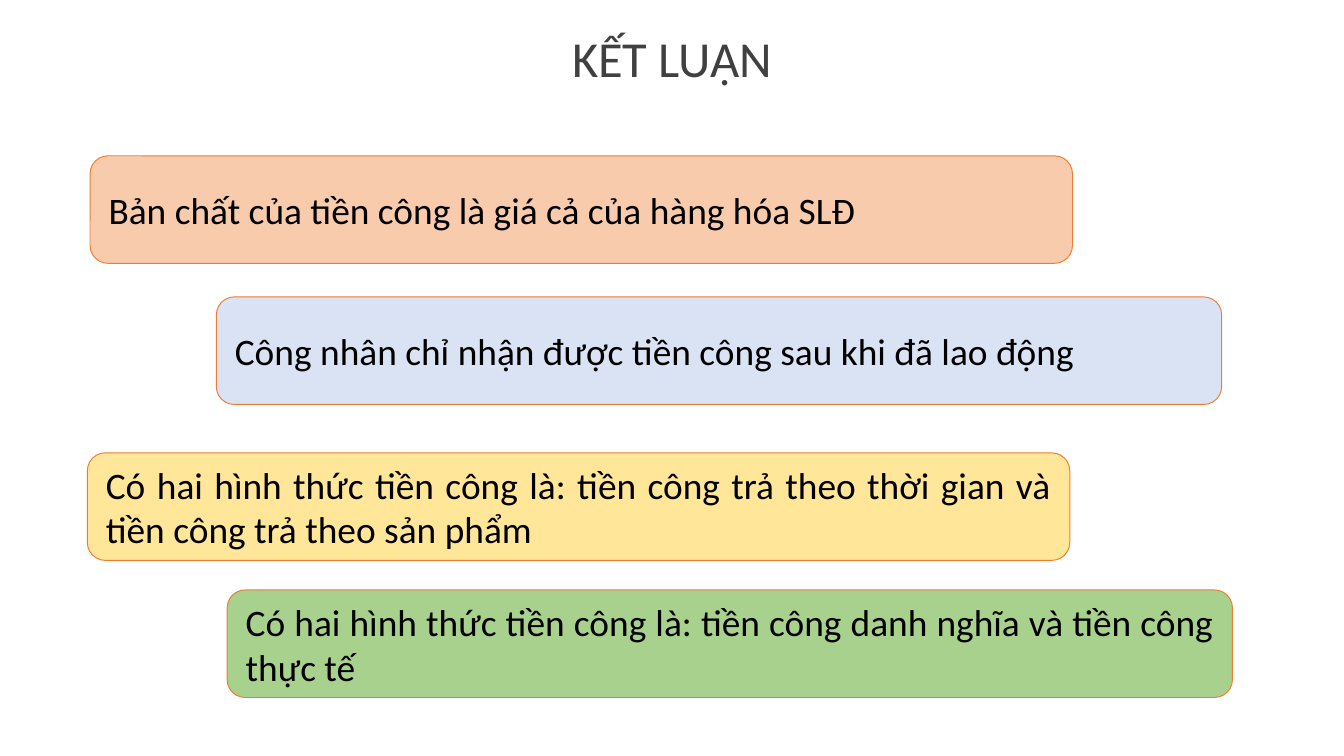
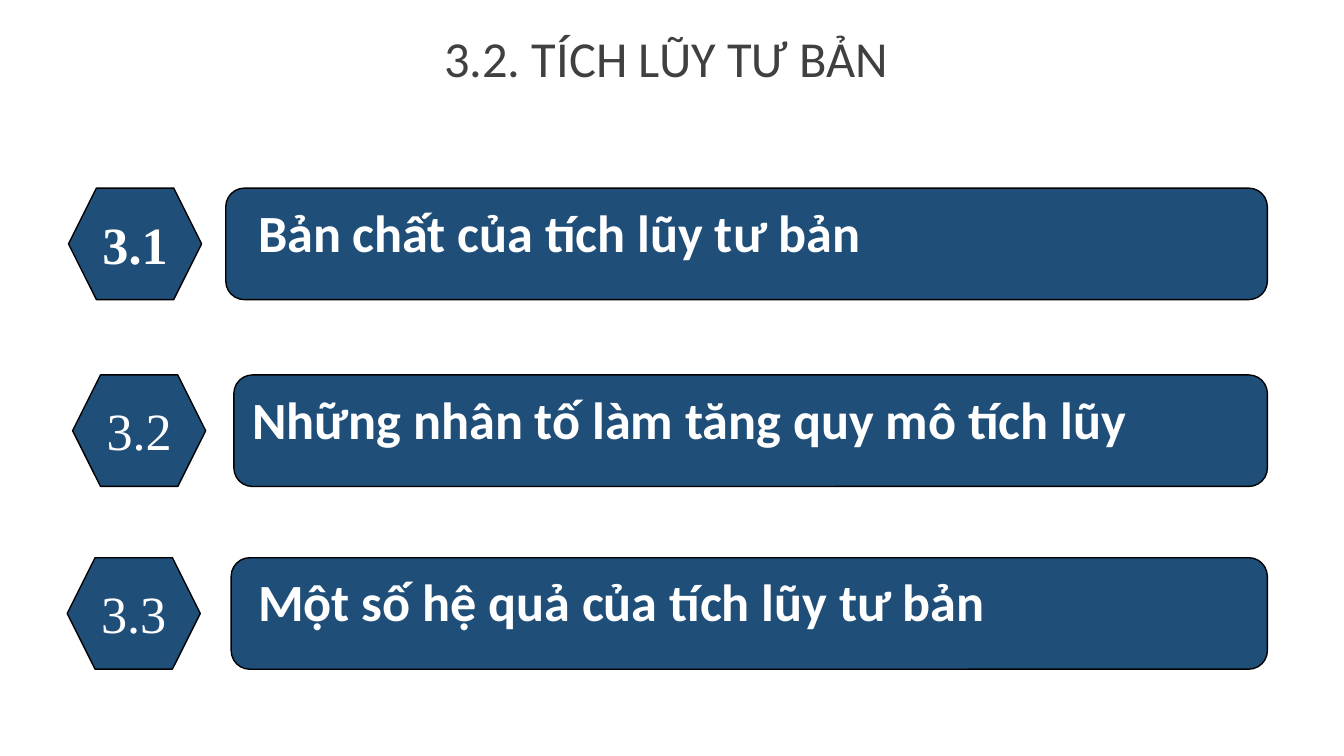
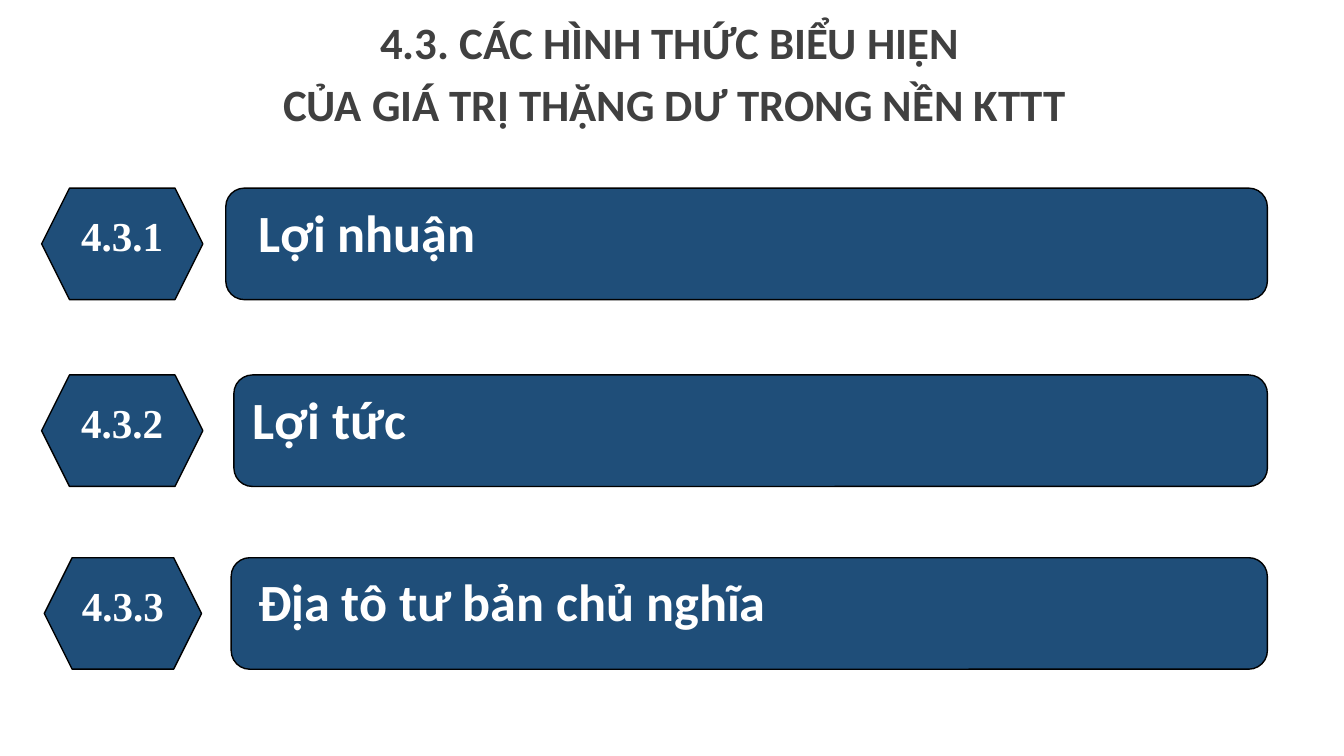
from pptx import Presentation
from pptx.dml.color import RGBColor
from pptx.enum.shapes import MSO_SHAPE
from pptx.enum.text import MSO_ANCHOR, PP_ALIGN
from pptx.util import Inches, Pt

ROUNDED = MSO_SHAPE.FLOWCHART_ALTERNATE_PROCESS
HEXAGON = MSO_SHAPE.HEXAGON
TOP, MIDDLE = MSO_ANCHOR.TOP, MSO_ANCHOR.MIDDLE
LEFT, CENTER, JUSTIFY = PP_ALIGN.LEFT, PP_ALIGN.CENTER, PP_ALIGN.JUSTIFY

BLACK = RGBColor(0x00, 0x00, 0x00)
WHITE = RGBColor(0xFF, 0xFF, 0xFF)
DARK_GRAY = RGBColor(0x40, 0x40, 0x40)
NAVY = RGBColor(0x1F, 0x4E, 0x79)
ORANGE = RGBColor(0xED, 0x7D, 0x31)
PEACH = RGBColor(0xF8, 0xCB, 0xAD)
PALE_BLUE = RGBColor(0xDA, 0xE3, 0xF3)
PALE_YELLOW = RGBColor(0xFF, 0xE6, 0x99)
GREEN = RGBColor(0xA9, 0xD1, 0x8E)

BODY_FONT = "Calibri"
NUMBER_FONT = "Times New Roman"

SLIDE_WIDTH = 10
SLIDE_HEIGHT = SLIDE_WIDTH * 9 / 16
CONCLUSION_HEIGHT = 0.8
AGENDA_HEIGHT = 0.83
AGENDA_RIGHT = 9.43
AGENDA_ROWS = [(1.4, 1.68, 0.2), (2.79, 1.74, 0.1), (4.15, 1.72, 0.16)]

CONCLUSIONS = [
    (0.67, 1.16, 7.31, PEACH, "Bản chất của tiền công là giá cả của hàng hóa SLĐ"),
    (1.61, 2.21, 7.48, PALE_BLUE, "Công nhân chỉ nhận được tiền công sau khi đã lao động "),
    (0.65, 3.37, 7.31, PALE_YELLOW,
     "Có hai hình thức tiền công là: tiền công trả theo thời gian và tiền công trả theo sản phẩm"),
    (1.69, 4.39, 7.48, GREEN,
     "Có hai hình thức tiền công là: tiền công danh nghĩa và tiền công thực tế"),
]

ACCUMULATION = [
    ("3.1", 0.51, 0.99, True, "Bản chất của tích lũy tư bản"),
    ("3.2", 0.54, 0.99, False, "Những nhân tố làm tăng quy mô tích lũy"),
    ("3.3", 0.5, 0.99, False, "Một số hệ quả của tích lũy tư bản"),
]

SURPLUS_FORMS = [
    ("4.3.1", 0.31, 1.2, True, "Lợi nhuận"),
    ("4.3.2", 0.31, 1.2, True, "Lợi tức"),
    ("4.3.3", 0.33, 1.17, True, "Địa tô tư bản chủ nghĩa"),
]


def style_paragraph(paragraph, text, size, color, alignment, bold=False, font=BODY_FONT):
    paragraph.text = text
    paragraph.alignment = alignment
    paragraph.font.name = font
    paragraph.font.size = Pt(size)
    paragraph.font.bold = bold
    paragraph.font.color.rgb = color


def add_title(slide, lines, size=27, left=0, top=0.14, bold=False):
    box = slide.shapes.add_textbox(
        Inches(left), Inches(top), Inches(SLIDE_WIDTH), Inches(0.63))
    frame = box.text_frame
    frame.word_wrap = True
    frame.vertical_anchor = MIDDLE
    for index, line in enumerate(lines):
        paragraph = frame.add_paragraph() if index else frame.paragraphs[0]
        style_paragraph(paragraph, line, size, DARK_GRAY, CENTER, bold)
        paragraph.line_spacing = 0.9
        paragraph.space_before = Pt(7.5)


def add_block(slide, preset, left, top, width, height, fill, line, line_width, anchor):
    shape = slide.shapes.add_shape(
        preset, Inches(left), Inches(top), Inches(width), Inches(height))
    shape.shadow.inherit = False
    shape.fill.solid()
    shape.fill.fore_color.rgb = fill
    shape.line.color.rgb = line
    shape.line.width = Pt(line_width)
    shape.text_frame.word_wrap = True
    shape.text_frame.vertical_anchor = anchor
    return shape.text_frame


def add_conclusion(slide, left, top, width, fill, text):
    frame = add_block(slide, ROUNDED, left, top, width, CONCLUSION_HEIGHT,
                      fill, ORANGE, 0.5, MIDDLE)
    style_paragraph(frame.paragraphs[0], text, 20, BLACK, JUSTIFY)


def add_agenda_bar(slide, left, top, inset, text):
    frame = add_block(slide, ROUNDED, left, top, AGENDA_RIGHT - left, AGENDA_HEIGHT,
                      NAVY, BLACK, 0.75, TOP)
    frame.margin_left = Inches(inset)
    style_paragraph(frame.paragraphs[0], text, 28, WHITE, LEFT, True)


def add_number_badge(slide, left, top, width, number, size, bold):
    frame = add_block(slide, HEXAGON, left, top, width, AGENDA_HEIGHT,
                      NAVY, BLACK, 0.75, TOP)
    frame.word_wrap = False
    style_paragraph(frame.paragraphs[0], number, size, WHITE, CENTER, bold, NUMBER_FONT)


def add_agenda(slide, items, number_size):
    for (top, bar_left, inset), item in zip(AGENDA_ROWS, items):
        number, badge_left, badge_width, bold, text = item
        add_agenda_bar(slide, bar_left, top, inset, text)
        add_number_badge(slide, badge_left, top, badge_width, number, number_size, bold)


def main():
    presentation = Presentation()
    presentation.slide_width = Inches(SLIDE_WIDTH)
    presentation.slide_height = Inches(SLIDE_HEIGHT)
    blank = presentation.slide_layouts[6]

    slide = presentation.slides.add_slide(blank)
    add_title(slide, ["KẾT LUẬN"])
    for conclusion in CONCLUSIONS:
        add_conclusion(slide, *conclusion)

    slide = presentation.slides.add_slide(blank)
    add_title(slide, ["3.2. TÍCH LŨY TƯ BẢN "])
    add_agenda(slide, ACCUMULATION, 28)

    slide = presentation.slides.add_slide(blank)
    add_title(slide, ["4.3. CÁC HÌNH THỨC BIỂU HIỆN ", "CỦA GIÁ TRỊ THẶNG DƯ TRONG NỀN KTTT"],
              size=24, left=0.02, top=0.25, bold=True)
    add_agenda(slide, SURPLUS_FORMS, 22)

    presentation.save("out.pptx")


if __name__ == "__main__":
    main()
